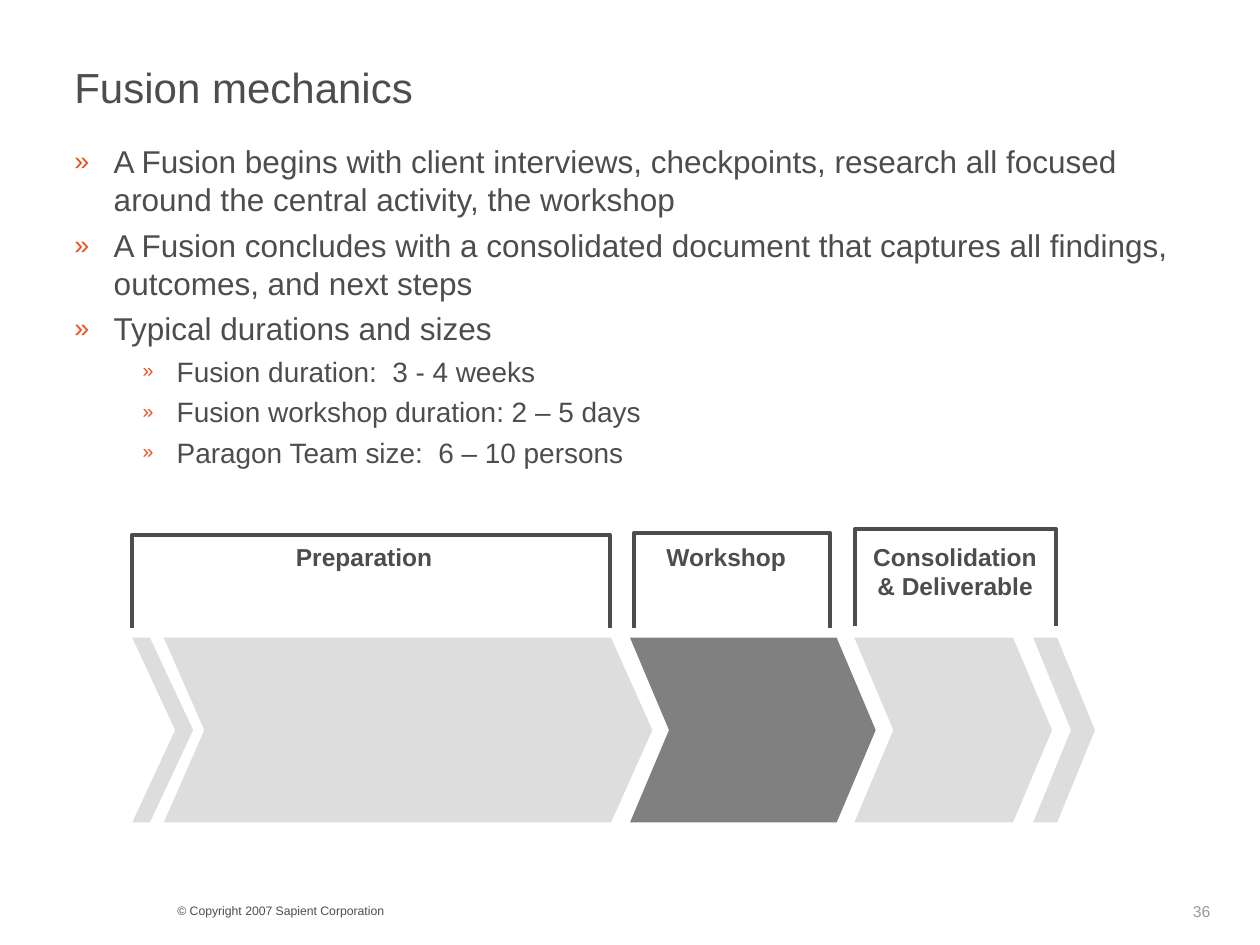
"""Build the Fusion mechanics slide with its three-phase process diagram."""
import lxml.etree
import pptx
import pptx.dml.color
import pptx.enum.text
import pptx.oxml.ns
import pptx.util

Pt = pptx.util.Pt
ANCHOR = pptx.enum.text.MSO_ANCHOR
ALIGN = pptx.enum.text.PP_ALIGN
AUTO_SIZE = pptx.enum.text.MSO_AUTO_SIZE

INK, ACCENT, LIGHT, DARK, PALE = "4D4D4D", "F04E22", "DDDDDD", "808080", "999999"

TITLE = "Fusion mechanics"
BULLETS = [
    (0, "A Fusion begins with client interviews, checkpoints, research all focused "
        "around the central activity, the workshop"),
    (0, "A Fusion concludes with a consolidated document that captures all findings, "
        "outcomes, and next steps"),
    (0, "Typical durations and sizes"),
    (1, "Fusion duration:  3 - 4 weeks"),
    (1, "Fusion workshop duration: 2 – 5 days"),
    (1, "Paragon Team size:  6 – 10 persons"),
]
LEVELS = [
    {"size": 18, "margin": 22.5, "indent": -22.5, "before": 4.5, "bullet": 85},
    {"size": 16, "margin": 58.5, "indent": -19.5, "before": 4, "bullet": 70},
]
BRACKETS = [
    {"left": 75.6, "right": 348.5, "top": 305.5, "bottom": 358.6},
    {"left": 362.2, "right": 474.5, "top": 304.6, "bottom": 358.6},
    {"left": 488.4, "right": 603.4, "top": 302.4, "bottom": 357.8},
]
LABELS = [
    (["Preparation"], (162, 306, 94, 24.5), ALIGN.LEFT),
    (["Workshop"], (373.7, 306, 84, 24.5), ALIGN.LEFT),
    (["Consolidation", "& Deliverable"], (491.8, 306, 108, 41), ALIGN.CENTER),
]
CHEVRONS = [
    {"left": 75.6, "shoulder": 85.7, "notch": 100.1, "tip": 110.4, "color": LIGHT},
    {"left": 93.6, "shoulder": 349.2, "notch": 116.8, "tip": 372.8, "color": LIGHT},
    {"left": 360, "shoulder": 478.1, "notch": 382.3, "tip": 500.4, "color": DARK},
    {"left": 488.2, "shoulder": 578.9, "notch": 510.5, "tip": 601.2, "color": LIGHT},
    {"left": 590.4, "shoulder": 604.1, "notch": 612, "tip": 625.7, "color": LIGHT},
]
CHEVRON_TOP, CHEVRON_BOTTOM = 364.4, 470


def rgb(value):
    return pptx.dml.color.RGBColor.from_string(value)


def place(sp, box):
    sp.left, sp.top, sp.width, sp.height = map(Pt, box)


def add_run(p, text, size, color=INK, bold=False):
    r = p.add_run()
    r.text = text
    r.font.name, r.font.size, r.font.bold = "Arial", Pt(size), bold
    r.font.color.rgb = rgb(color)


def add_bullet(p, level):
    pPr = p._p.get_or_add_pPr()
    pPr.set("marL", str(Pt(level["margin"])))
    pPr.set("indent", str(Pt(level["indent"])))
    qn = pptx.oxml.ns.qn
    color = lxml.etree.SubElement(pPr, qn("a:buClr"))
    lxml.etree.SubElement(color, qn("a:srgbClr"), val=ACCENT)
    lxml.etree.SubElement(pPr, qn("a:buSzPct"), val=str(level["bullet"] * 1000))
    lxml.etree.SubElement(pPr, qn("a:buFont"), typeface="Arial")
    lxml.etree.SubElement(pPr, qn("a:buChar"), char="»")


def add_text(s, lines, box, size, color=INK, bold=False, align=ALIGN.LEFT):
    sp = s.shapes.add_textbox(*map(Pt, box))
    tf = sp.text_frame
    tf.word_wrap = False
    tf.auto_size = AUTO_SIZE.SHAPE_TO_FIT_TEXT
    for i, line in enumerate(lines):
        p = tf.add_paragraph() if i else tf.paragraphs[0]
        p.alignment = align
        add_run(p, line, size, color, bold)


def add_outline(s, points, close):
    points = [(Pt(x), Pt(y)) for x, y in points]
    builder = s.shapes.build_freeform(*points[0])
    builder.add_line_segments(points[1:], close=close)
    sp = builder.convert_to_shape()
    sp.shadow.inherit = False
    return sp


def add_bracket(s, left, right, top, bottom):
    sp = add_outline(s, [(left, bottom), (left, top), (right, top), (right, bottom)], False)
    sp.fill.background()
    sp.line.color.rgb = rgb(INK)
    sp.line.width = Pt(2.25)
    lxml.etree.SubElement(sp.line._ln, pptx.oxml.ns.qn("a:round"))


def add_chevron(s, left, shoulder, notch, tip, color):
    top, bottom = CHEVRON_TOP, CHEVRON_BOTTOM
    middle = (top + bottom) / 2
    sp = add_outline(s, [(left, top), (shoulder, top), (tip, middle),
                         (shoulder, bottom), (left, bottom), (notch, middle)], True)
    sp.fill.solid()
    sp.fill.fore_color.rgb = rgb(color)
    sp.line.fill.background()


def prepare(sp, box):
    place(sp, box)
    tf = sp.text_frame
    tf.auto_size = AUTO_SIZE.NONE
    tf.vertical_anchor = ANCHOR.TOP
    return tf


def fill_title(sp):
    p = prepare(sp, (35.3, 31.7, 648.7, 39.6)).paragraphs[0]
    p.alignment = ALIGN.LEFT
    add_run(p, TITLE, 24)


def fill_body(sp):
    tf = prepare(sp, (35.3, 77.8, 648, 196.6))
    for i, (depth, text) in enumerate(BULLETS):
        level = LEVELS[depth]
        p = tf.add_paragraph() if i else tf.paragraphs[0]
        p.level = depth
        add_bullet(p, level)
        p.line_spacing = 1.0
        p.space_before = Pt(level["before"] if i else 0)
        add_run(p, text, level["size"])


def main():
    prs = pptx.Presentation()
    prs.slide_width, prs.slide_height = Pt(720), Pt(540)
    s = prs.slides.add_slide(prs.slide_layouts[1])
    fill_title(s.shapes.title)
    fill_body(s.placeholders[1])
    for bracket in BRACKETS:
        add_bracket(s, **bracket)
    for chevron in CHEVRONS:
        add_chevron(s, **chevron)
    for lines, box, align in LABELS:
        add_text(s, lines, box, 14, bold=True, align=align)
    add_text(s, ["© Copyright 2007 Sapient Corporation"], (94.3, 512.6, 288, 15.8), 7)
    add_text(s, ["36"], (674.6, 511.6, 54, 17.3), 9, PALE)
    prs.save("out.pptx")


if __name__ == "__main__":
    main()
